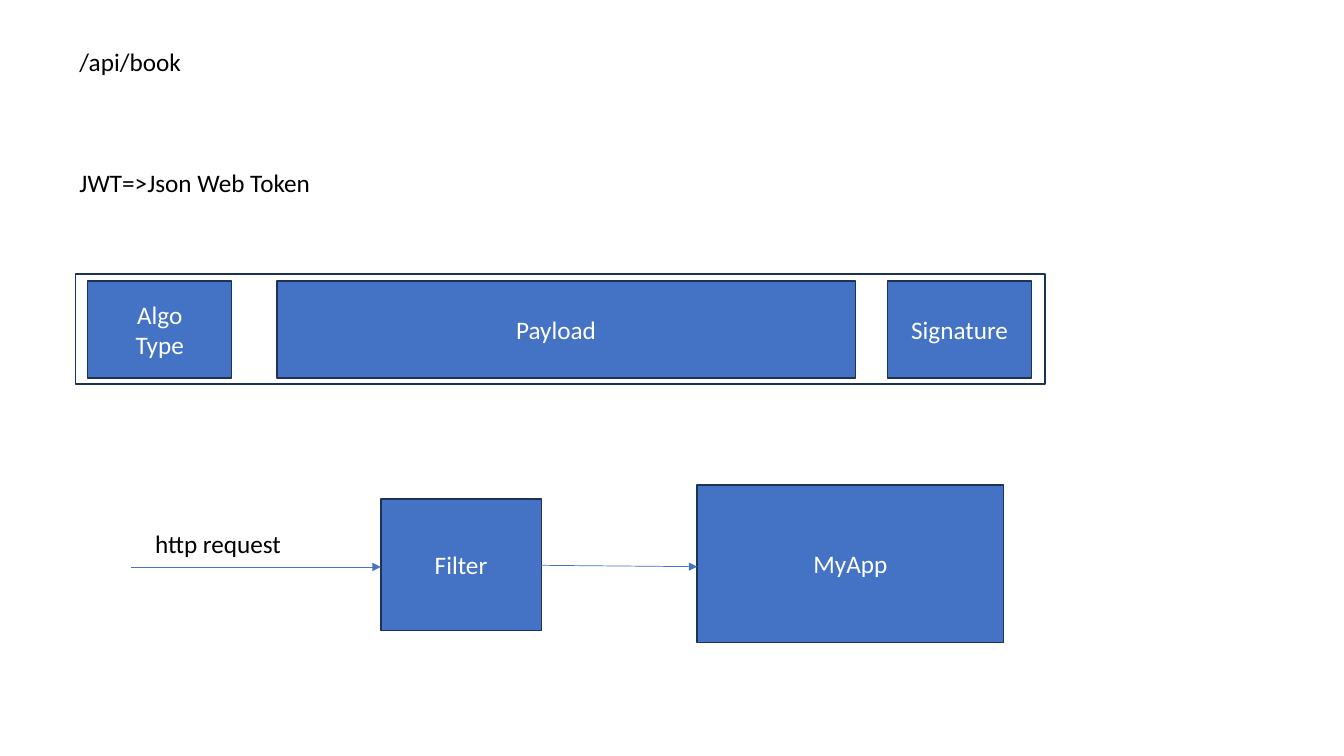
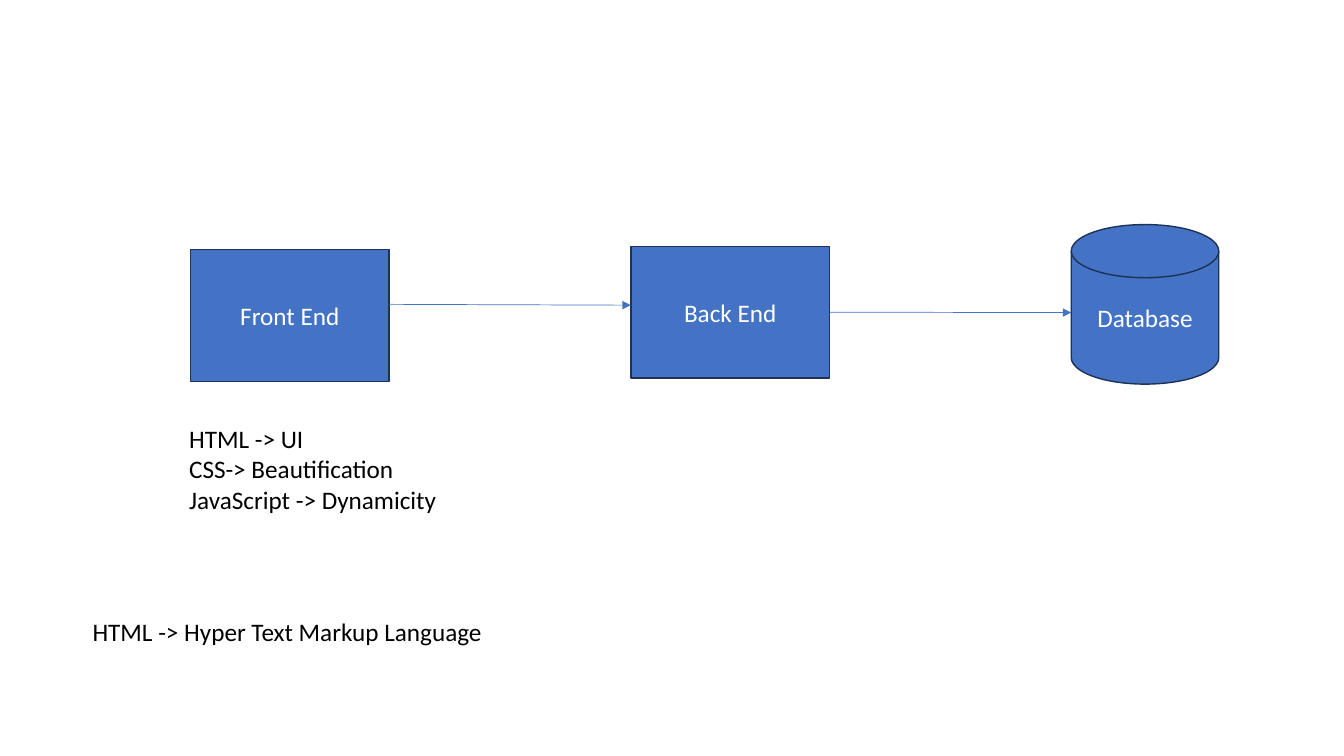
from pptx import Presentation
from pptx.util import Pt
from pptx.dml.color import RGBColor
from pptx.enum.shapes import MSO_CONNECTOR, MSO_SHAPE
from pptx.enum.text import MSO_ANCHOR, PP_ALIGN
from lxml.etree import SubElement
from pptx.oxml.ns import qn

COLORS = {"fill": "4472C4", "edge": "1E3256", "ink": "000000", "light": "FFFFFF"}
FONT, SIZE = "Calibri", 18


def color(name):
    return RGBColor.from_string(COLORS[name])


def write(frame, text, ink, align, gap=0):
    """Set the text and give every paragraph the shared style."""
    frame.word_wrap = True
    frame.text = text
    for i, para in enumerate(frame.paragraphs):
        para.alignment = align
        para.space_before = Pt(gap if i else 0)
        for run in para.runs:
            run.font.name, run.font.size = FONT, Pt(SIZE)
            run.font.color.rgb = color(ink)


def note(slide, text, left, top, width, height, gap=0):
    area = slide.shapes.add_textbox(Pt(left), Pt(top), Pt(width), Pt(height))
    write(area.text_frame, text, "ink", PP_ALIGN.LEFT, gap)


def box(slide, text, left, top, width, height, kind=MSO_SHAPE.RECTANGLE):
    """Draw a labelled block; without a label it is an empty frame."""
    shape = slide.shapes.add_shape(kind, Pt(left), Pt(top), Pt(width), Pt(height))
    shape.shadow.inherit = False
    shape.line.color.rgb = color("edge")
    shape.line.width = Pt(1)
    if text:
        shape.fill.solid()
        shape.fill.fore_color.rgb = color("fill")
        shape.text_frame.vertical_anchor = MSO_ANCHOR.MIDDLE
        write(shape.text_frame, text, "light", PP_ALIGN.CENTER)
    else:
        shape.fill.background()
    return shape


def arrow(slide, x1, y1, x2, y2):
    line = slide.shapes.add_connector(
        MSO_CONNECTOR.STRAIGHT, Pt(x1), Pt(y1), Pt(x2), Pt(y2))
    line.line.color.rgb = color("fill")
    line.line.width = Pt(0.5)
    SubElement(line.line._get_or_add_ln(), qn("a:tailEnd"), type="triangle")
    SubElement(line._element.spPr, qn("a:effectLst"))


def token(slide):
    note(slide, "/api/book\nJWT=>Json Web Token", 49.7, 29.5, 791, 116.6, gap=65)

    # Parts of the token inside a frame
    box(slide, "", 54, 195.8, 692.6, 78.5)
    parts = [("Algo\nType", 62.6, 103), ("Payload", 198, 413.3),
             ("Signature", 634, 103)]
    for text, left, width in parts:
        part = box(slide, text, left, 200.8, width, 69.2)
        if text == "Payload":
            part.text_frame.margin_right = Pt(22)

    # Path of a request
    box(slide, "MyApp", 498, 346.5, 219, 112.5)
    box(slide, "Filter", 272, 356.5, 114.6, 94)
    arrow(slide, 93.6, 405, 272, 405)
    arrow(slide, 386.6, 403.8, 498, 404.8)
    note(slide, "http request", 103.7, 373.9, 122.4, 29)


def tiers(slide):
    # Three tiers with equal gaps
    width, height, gap = 142, 94, 172.6
    front = 136
    back = front + width + gap
    data = back + width + gap
    box(slide, "Front End", front, 178.4, width, height)
    box(slide, "Back End", back, 176, width, height)
    box(slide, "Database", data, 160.4, 105.4, 114,
        MSO_SHAPE.FLOWCHART_MAGNETIC_DISK)
    arrow(slide, front + width, 217.4, back, 218)
    arrow(slide, back + width, 223, data, 223.3)

    # Front end languages
    note(slide, "HTML -> UI\nCSS-> Beautification\nJavaScript -> Dynamicity",
         128, 299, 238.5, 72.7)
    note(slide, "HTML -> Hyper Text Markup Language", 59, 436.4, 865, 29)


def main():
    deck = Presentation()
    deck.slide_width, deck.slide_height = Pt(960), Pt(540)
    for build in (token, tiers):
        build(deck.slides.add_slide(deck.slide_layouts[6]))
    deck.save("out.pptx")


if __name__ == "__main__":
    main()
